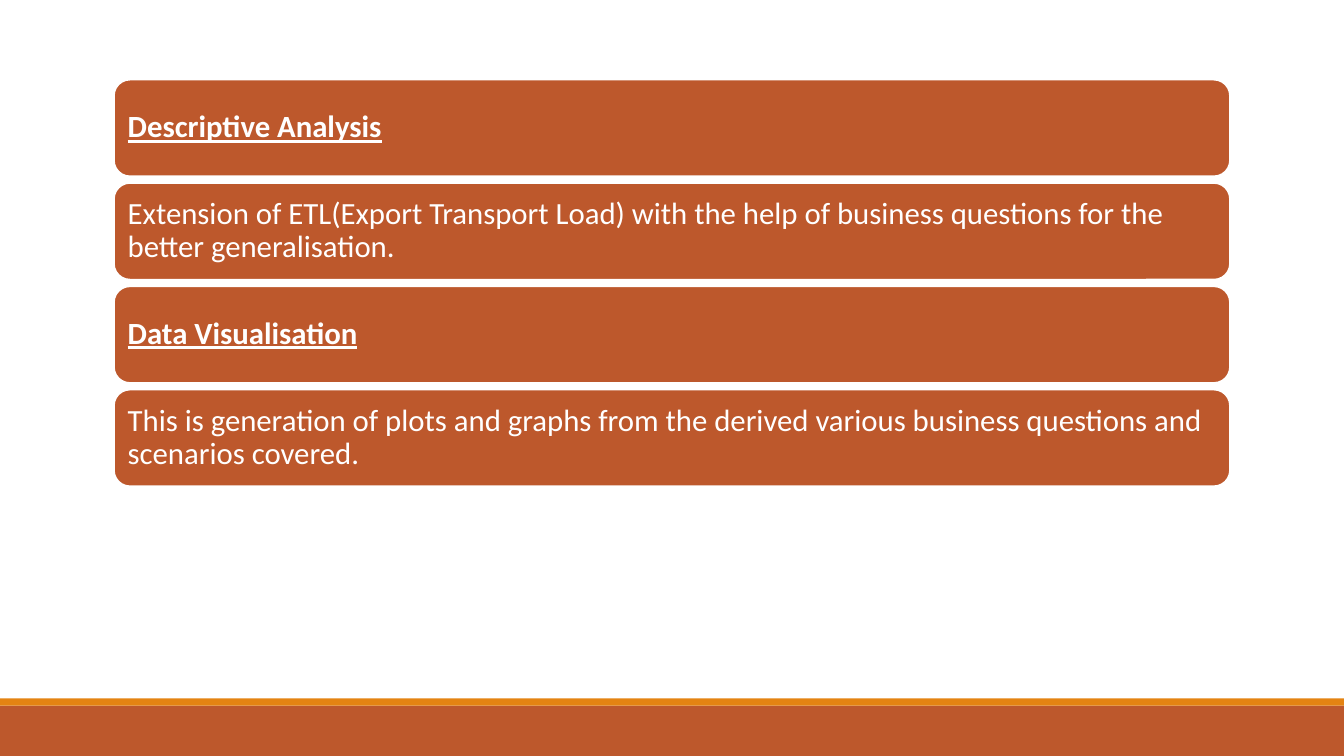
from pptx import Presentation
from pptx.dml.color import RGBColor
from pptx.enum.shapes import MSO_SHAPE
from pptx.enum.text import MSO_ANCHOR, PP_ALIGN
from pptx.util import Inches, Pt

RUST = "BD582C"
ORANGE = "E48312"
WHITE = "FFFFFF"

CARD_LEFT, CARD_TOP = 1.13, 0.79
CARD_WIDTH, CARD_HEIGHT = 11.07, 0.96
CARD_STEP = 1.025

CARDS = [
    ("Descriptive Analysis", True),
    ("Extension of ETL(Export Transport Load) with the help of business "
     "questions for the better generalisation.", False),
    ("Data Visualisation", True),
    ("This is generation of plots and graphs from the derived various "
     "business questions and scenarios covered.", False),
]


def colour(value):
    return RGBColor.from_string(value)


def add_filled_shape(page, kind, left, top, width, height, fill):
    shape = page.shapes.add_shape(
        kind, Inches(left), Inches(top), Inches(width), Inches(height))
    shape.shadow.inherit = False
    shape.fill.solid()
    shape.fill.fore_color.rgb = colour(fill)
    shape.line.fill.background()
    return shape


def add_band(page, top, height, fill):
    add_filled_shape(page, MSO_SHAPE.RECTANGLE, 0, top, 13.33, height, fill)


def add_card(page, top, text, is_heading):
    card = add_filled_shape(page, MSO_SHAPE.ROUNDED_RECTANGLE, CARD_LEFT, top,
                            CARD_WIDTH, CARD_HEIGHT, RUST)
    card.line.color.rgb = colour(WHITE)
    card.line.width = Pt(1.25)

    frame = card.text_frame
    frame.word_wrap = True
    frame.vertical_anchor = MSO_ANCHOR.MIDDLE
    frame.margin_left = frame.margin_right = Inches(0.09)
    frame.margin_top = frame.margin_bottom = Inches(0.09)

    paragraph = frame.paragraphs[0]
    paragraph.text = text
    paragraph.alignment = PP_ALIGN.LEFT
    paragraph.line_spacing = 0.9
    font = paragraph.font
    font.name = "Calibri"
    font.size = Pt(22)
    font.color.rgb = colour(WHITE)
    font.bold = is_heading
    font.underline = is_heading


def main():
    deck = Presentation()
    deck.slide_width = Inches(13.33)
    deck.slide_height = Inches(7.5)
    page = deck.slides.add_slide(deck.slide_layouts[6])

    add_band(page, 7, 0.5, RUST)
    add_band(page, 6.93, 0.07, ORANGE)
    for index, (text, is_heading) in enumerate(CARDS):
        add_card(page, CARD_TOP + index * CARD_STEP, text, is_heading)

    deck.save("out.pptx")


if __name__ == "__main__":
    main()
